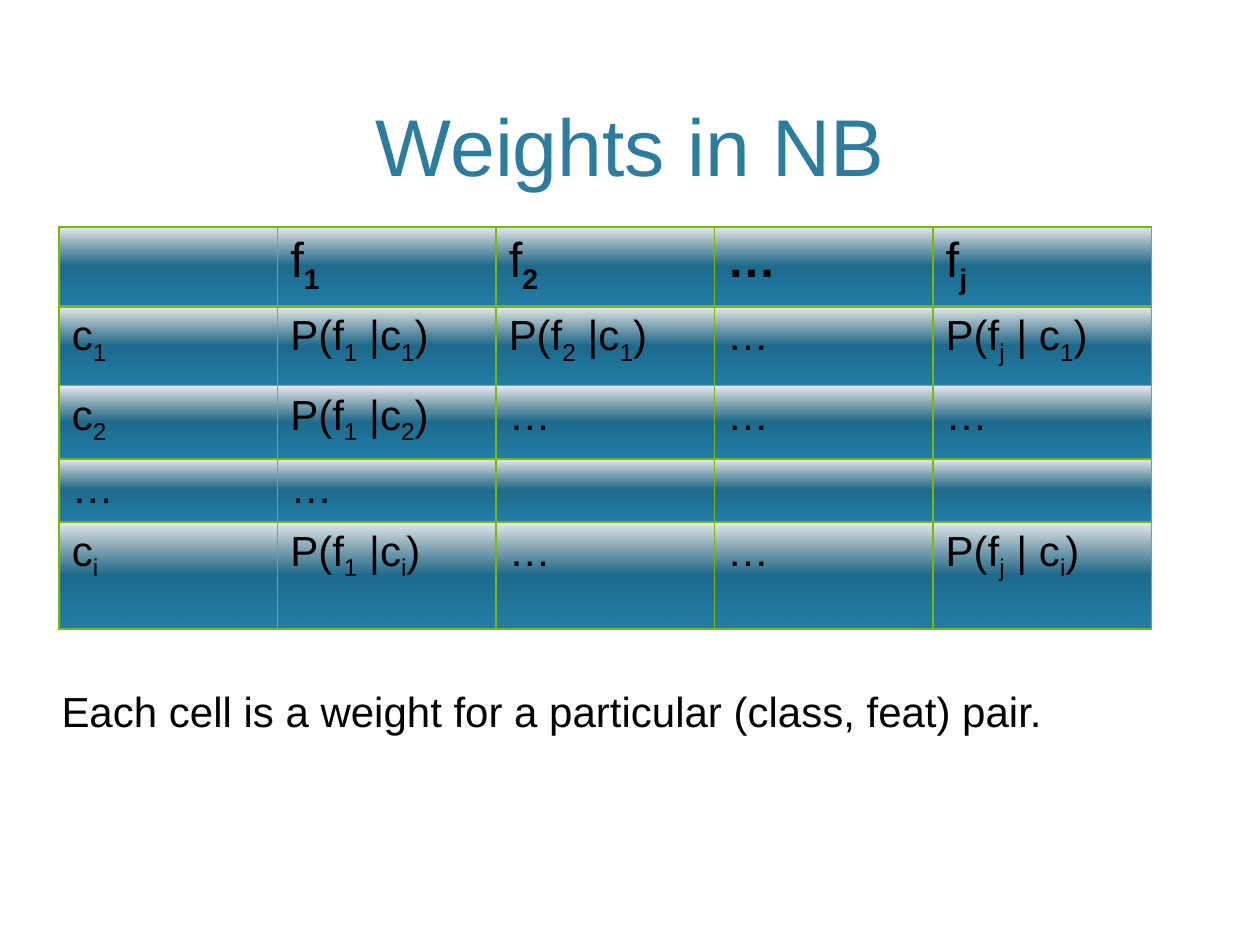
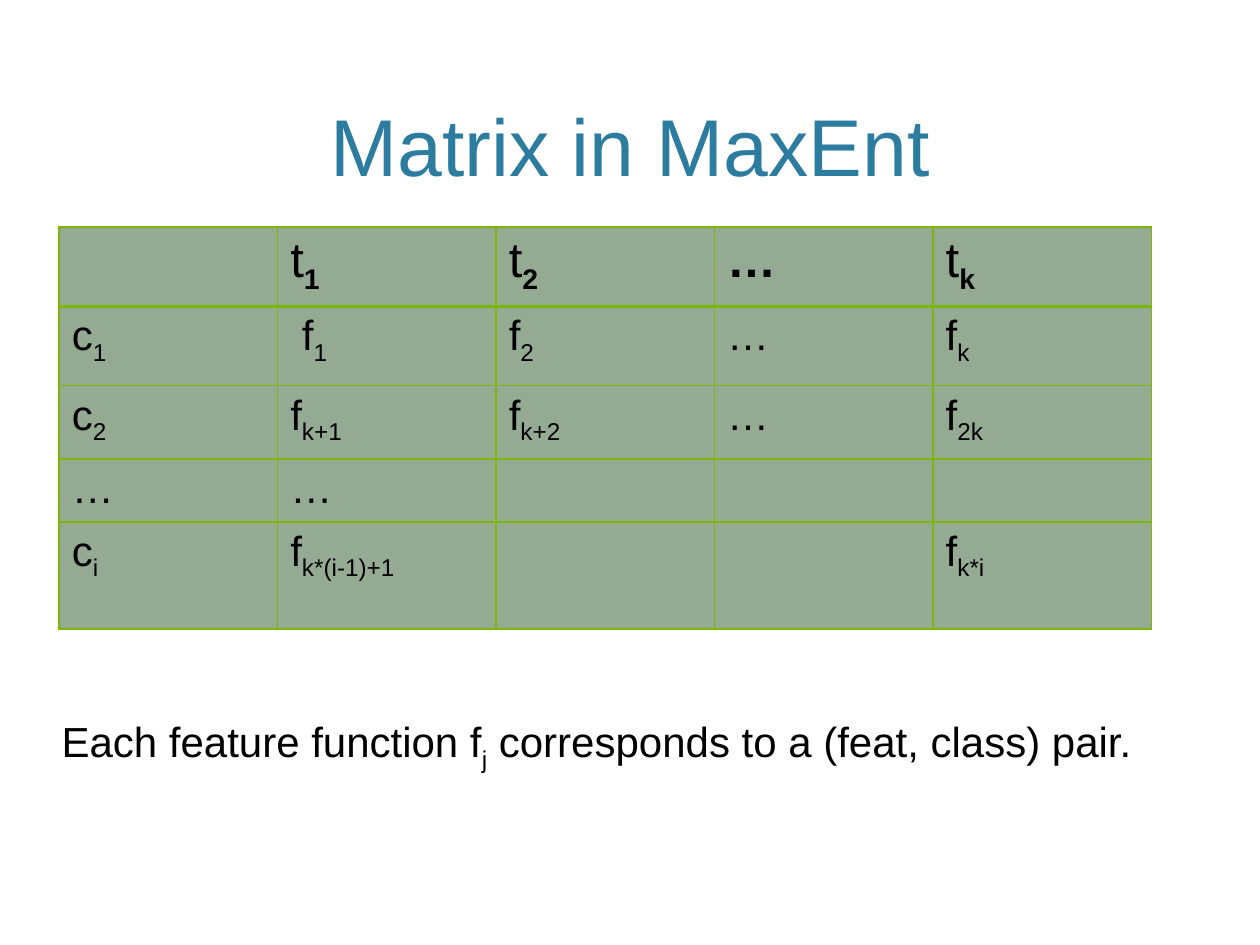
from dataclasses import dataclass

from lxml import etree
from pptx import Presentation
from pptx.dml.color import RGBColor
from pptx.enum.text import MSO_ANCHOR, PP_ALIGN
from pptx.oxml.ns import qn
from pptx.util import Inches, Pt

BOTTOM, TOP = MSO_ANCHOR.BOTTOM, MSO_ANCHOR.TOP
CENTER, LEFT = PP_ALIGN.CENTER, PP_ALIGN.LEFT


@dataclass(frozen=True)
class Theme:
    font: str = "Arial"
    title: str = "2C7C9F"
    ink: str = "000000"
    rule: str = "7EB606"
    title_size: int = 46
    head_size: int = 28
    body_size: int = 24
    thin: int = 1
    thick: int = 2
    # Gradient stops: position %, colour, opacity %
    blue: tuple = ((0, "154B63", 9), (50, "1E6B8D", 100), (100, "237FA8", 100))
    sage: tuple = ((0, "8488C4", 23), (53, "D4DEFF", 100),
                   (83, "D4DEFF", 100), (100, "96AB94", 100))


THEME = Theme()

# Text between tildes is subscript.
SLIDES = [
    {
        "title": "Weights in NB",
        "stops": THEME.blue,
        "corner": False,
        "rows": [
            ["", "f~1~", "f~2~", "…", "f~j~"],
            ["c~1~", "P(f~1~ |c~1~)", "P(f~2~ |c~1~)", "…", "P(f~j~ | c~1~)"],
            ["c~2~", "P(f~1~ |c~2~)", "…", "…", "…"],
            ["…", "…", "", "", ""],
            ["c~i~", "P(f~1~ |c~i~)", "…", "…", "P(f~j~ | c~i~)"],
        ],
        "note": "Each cell is a weight for a particular (class, feat) pair.",
        "note_box": (0.39, 5.39, 8.06, 0.91),
    },
    {
        "title": "Matrix in MaxEnt",
        "stops": THEME.sage,
        "corner": True,
        "rows": [
            ["", "t~1~", "t~2~", "…", "t~k~"],
            ["c~1~", " f~1~", "f~2~", "…", "f~k~"],
            ["c~2~", "f~k+1~", "f~k+2~", "…", "f~2k~"],
            ["…", "…", "", "", ""],
            ["c~i~", "f~k*(i-1)+1~", "", "", "f~k*i~"],
        ],
        "note": "Each feature function f~j~ corresponds to a (feat, class) pair.",
        "note_box": (0.39, 5.63, 8.92, 0.5),
    },
]

TITLE_BOX = (0.6, 0.12, 8.8, 1.46)
GRID_BOX = (0.47, 1.8, 8.67, 3.12)
HEIGHTS = (0.52, 0.63, 0.58, 0.46, 0.85)


def node(parent, tag, **attrs):
    return etree.SubElement(parent, qn(tag), {k: str(v) for k, v in attrs.items()})


def write(para, text, size, color, head=False):
    """Write marked text; in a header, bold all but the base letters."""
    parts = text.split("~")
    for i, part in enumerate(parts):
        if not part:
            continue
        run = para.add_run()
        run.text = part
        font = run.font
        font.name, font.size = THEME.font, Pt(size)
        font.color.rgb = RGBColor.from_string(color)
        sub = i % 2 == 1
        font.bold = head and (sub or len(parts) == 1)
        if sub:
            font._element.set("baseline", "-25000")


def add_text(slide, box, text, size, color, align=LEFT, anchor=TOP):
    frame = slide.shapes.add_textbox(*map(Inches, box)).text_frame
    frame.word_wrap = True
    frame.vertical_anchor = anchor
    para = frame.paragraphs[0]
    para.alignment = align
    write(para, text, size, color)


def add_rules(props, row):
    """Border a cell, with a heavier rule under the header row."""
    top = THEME.thick if row == 1 else THEME.thin
    base = THEME.thick if row == 0 else THEME.thin
    widths = {"L": THEME.thin, "R": THEME.thin, "T": top, "B": base}
    for side, width in widths.items():
        line = node(props, f"a:ln{side}", w=Pt(width))
        node(node(line, "a:solidFill"), "a:srgbClr", val=THEME.rule)


def add_blend(props, stops, corner):
    """Fill a cell with a gradient, downward or from the lower right corner."""
    fill = node(props, "a:gradFill", rotWithShape=1)
    chain = node(fill, "a:gsLst")
    for pos, color, alpha in stops:
        tint = node(node(chain, "a:gs", pos=pos * 1000), "a:srgbClr", val=color)
        if alpha < 100:
            node(tint, "a:alpha", val=alpha * 1000)
    if corner:
        node(node(fill, "a:path", path="rect"), "a:fillToRect", l=100000, t=100000)
        node(fill, "a:tileRect", r=-100000, b=-100000)
    else:
        node(fill, "a:lin", ang=90 * 60000, scaled=0)


def add_grid(slide, rows, stops, corner):
    count = len(rows[0])
    frame = slide.shapes.add_table(len(rows), count, *map(Inches, GRID_BOX))
    table = frame.table
    for col in table.columns:
        col.width = Inches(GRID_BOX[2] / count)
    for r, (texts, height) in enumerate(zip(rows, HEIGHTS)):
        table.rows[r].height = Inches(height)
        size = THEME.body_size if r else THEME.head_size
        for c, text in enumerate(texts):
            cell = table.cell(r, c)
            write(cell.text_frame.paragraphs[0], text, size, THEME.ink, r == 0)
            props = cell._tc.get_or_add_tcPr()
            add_rules(props, r)
            add_blend(props, stops, corner)


def main():
    deck = Presentation()
    deck.slide_width, deck.slide_height = Inches(10), Inches(7.5)
    for page in SLIDES:
        slide = deck.slides.add_slide(deck.slide_layouts[6])
        add_text(slide, TITLE_BOX, page["title"], THEME.title_size,
                 THEME.title, CENTER, BOTTOM)
        add_grid(slide, page["rows"], page["stops"], page["corner"])
        add_text(slide, page["note_box"], page["note"], THEME.body_size, THEME.ink)
    deck.save("out.pptx")


if __name__ == "__main__":
    main()
